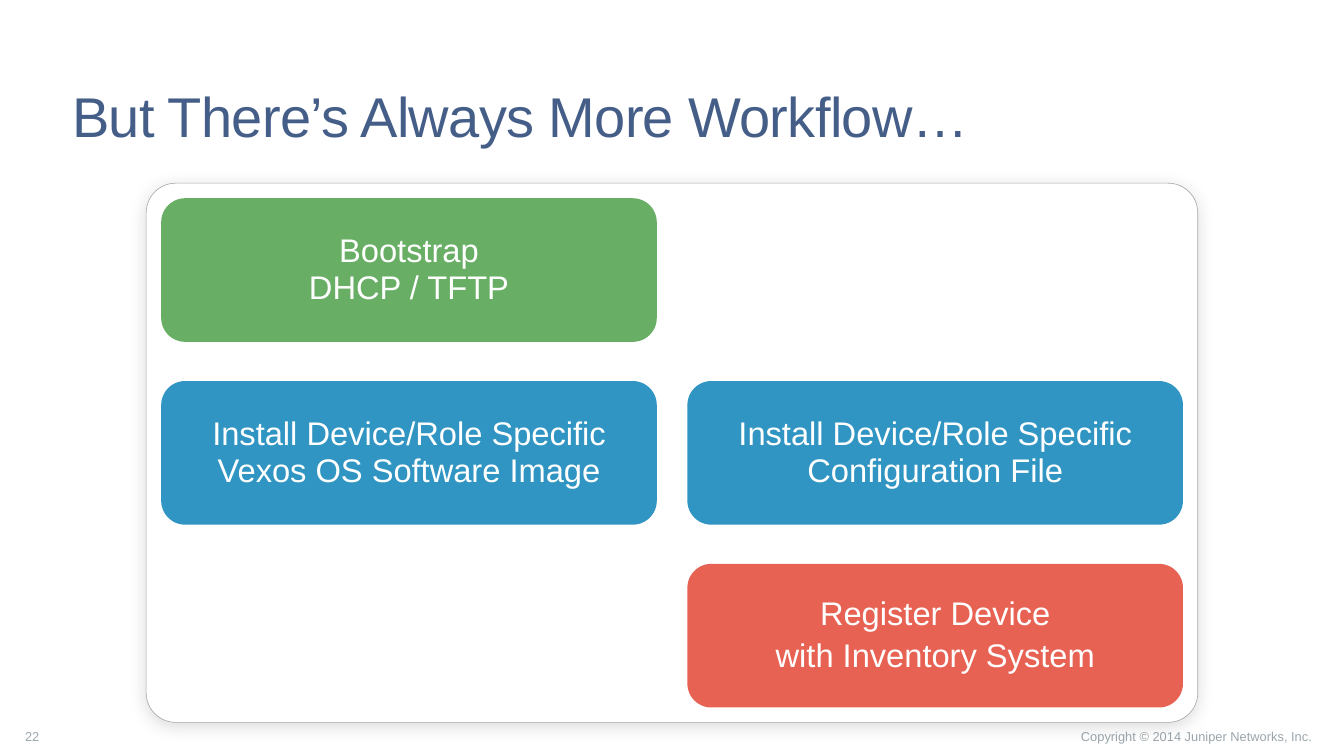
"""Builds the workflow slide: three rows of rounded steps on a shadowed panel."""
from dataclasses import dataclass

from lxml.etree import SubElement
from pptx import Presentation
from pptx.dml.color import RGBColor
from pptx.enum.shapes import MSO_SHAPE as Preset
from pptx.enum.text import MSO_ANCHOR as Anchor, MSO_AUTO_SIZE as AutoSize, PP_ALIGN as Align
from pptx.oxml.ns import qn
from pptx.slide import Slide
from pptx.text.text import _Paragraph as Paragraph
from pptx.util import Pt

WHITE = RGBColor(0xFF, 0xFF, 0xFF)
BLACK = RGBColor(0x00, 0x00, 0x00)
NAVY = RGBColor(0x44, 0x5E, 0x88)
GREEN = RGBColor(0x68, 0xAE, 0x64)
BLUE = RGBColor(0x30, 0x95, 0xC2)
RED = RGBColor(0xE7, 0x62, 0x52)
EDGE_GRAY = RGBColor(0xA6, 0xA6, 0xA6)
FOOTER_GRAY = RGBColor(0x9A, 0xA5, 0xAC)

FONT = "Arial"
GRID_LEFT, GRID_TOP = 138.2, 169.9
COLUMN_PITCH, ROW_PITCH = 451, 156.7
STEP_WIDTH, STEP_HEIGHT = 424.8, 123.1


@dataclass(frozen=True)
class Step:
    column: int
    row: int
    color: RGBColor
    paragraphs: tuple[tuple[str, ...], ...]


@dataclass(frozen=True)
class Footer:
    text: str
    left: float
    width: float
    align: Align


STEPS = (
    Step(0, 0, GREEN, (("Bootstrap", "DHCP / TFTP"),)),
    Step(0, 1, BLUE, (("Install Device/Role Specific", "Vexos OS Software Image"),)),
    Step(1, 1, BLUE, (("Install Device/Role Specific Configuration File",),)),
    Step(1, 2, RED, (("Register Device",), ("with Inventory System",))),
)
FOOTERS = (
    Footer("Copyright © 2014 Juniper Networks, Inc.", 900, 232, Align.RIGHT),
    Footer("22", 14.4, 40, Align.LEFT),
)


def add_text(paragraph: Paragraph, text: str, size: float, color: RGBColor):
    """Add one formatted run and return it."""
    run = paragraph.add_run()
    run.text = text
    run.font.name = FONT
    run.font.size = Pt(size)
    run.font.color.rgb = color
    return run


def format_title(slide: Slide, text: str) -> None:
    """Place the title and write its text."""
    title = slide.shapes.title
    title.left, title.top, title.width, title.height = Pt(61.9), Pt(75.6), Pt(1036.8), Pt(52.6)
    frame = title.text_frame
    frame.margin_left = frame.margin_right = frame.margin_top = frame.margin_bottom = 0
    frame.vertical_anchor = Anchor.BOTTOM
    frame.auto_size = AutoSize.NONE
    frame.word_wrap = True
    paragraph = frame.paragraphs[0]
    paragraph.alignment = Align.LEFT
    paragraph.line_spacing = 0.9
    paragraph.space_before = Pt(0)
    run = add_text(paragraph, text, 48, NAVY)
    run.font._element.set("spc", "-60")


def add_panel(slide: Slide) -> None:
    """Draw the white panel with its soft shadow."""
    panel = slide.shapes.add_shape(
        Preset.ROUNDED_RECTANGLE, Pt(125.3), Pt(157), Pt(901.4), Pt(462.2))
    panel.adjustments[0] = 0.055
    panel.fill.solid()
    panel.fill.fore_color.rgb = WHITE
    panel.line.color.rgb = EDGE_GRAY
    panel.line.width = Pt(0.5)
    panel.shadow.inherit = False
    effects = panel._element.spPr.find(qn("a:effectLst"))
    shadow = SubElement(effects, qn("a:outerShdw"), blurRad=str(Pt(15)), dist=str(Pt(4)),
                        dir="5400000", algn="t", rotWithShape="0")
    tint = SubElement(shadow, qn("a:srgbClr"), val=str(BLACK))
    SubElement(tint, qn("a:alpha"), val="15000")


def add_step(slide: Slide, step: Step) -> None:
    """Draw one workflow step in its grid cell."""
    box = slide.shapes.add_shape(
        Preset.ROUNDED_RECTANGLE,
        Pt(GRID_LEFT + step.column * COLUMN_PITCH), Pt(GRID_TOP + step.row * ROW_PITCH),
        Pt(STEP_WIDTH), Pt(STEP_HEIGHT))
    box.fill.solid()
    box.fill.fore_color.rgb = step.color
    box.line.fill.background()
    box.shadow.inherit = False
    frame = box.text_frame
    frame.margin_left = frame.margin_right = Pt(14.4)
    frame.margin_top = frame.margin_bottom = 0
    frame.vertical_anchor = Anchor.MIDDLE
    frame.word_wrap = True
    for index, lines in enumerate(step.paragraphs):
        paragraph = frame.add_paragraph() if index else frame.paragraphs[0]
        paragraph.alignment = Align.CENTER
        paragraph.line_spacing = 0.95
        paragraph.space_before = Pt(4 if index else 0)
        for number, line in enumerate(lines):
            if number:
                paragraph.add_line_break()
            add_text(paragraph, line, 28, WHITE)


def add_footer(slide: Slide, footer: Footer) -> None:
    """Write one small text along the bottom edge."""
    box = slide.shapes.add_textbox(Pt(footer.left), Pt(620.3), Pt(footer.width), Pt(20.9))
    frame = box.text_frame
    frame.word_wrap = True
    frame.vertical_anchor = Anchor.BOTTOM
    paragraph = frame.paragraphs[0]
    paragraph.alignment = footer.align
    add_text(paragraph, footer.text, 11, FOOTER_GRAY)


def main() -> None:
    """Build and save the slide."""
    deck = Presentation()
    deck.slide_width, deck.slide_height = Pt(1152), Pt(648)
    slide = deck.slides.add_slide(deck.slide_layouts[5])
    format_title(slide, "But There’s Always More Workflow…")
    for footer in FOOTERS:
        add_footer(slide, footer)
    add_panel(slide)
    for step in STEPS:
        add_step(slide, step)
    deck.save("out.pptx")


if __name__ == "__main__":
    main()
